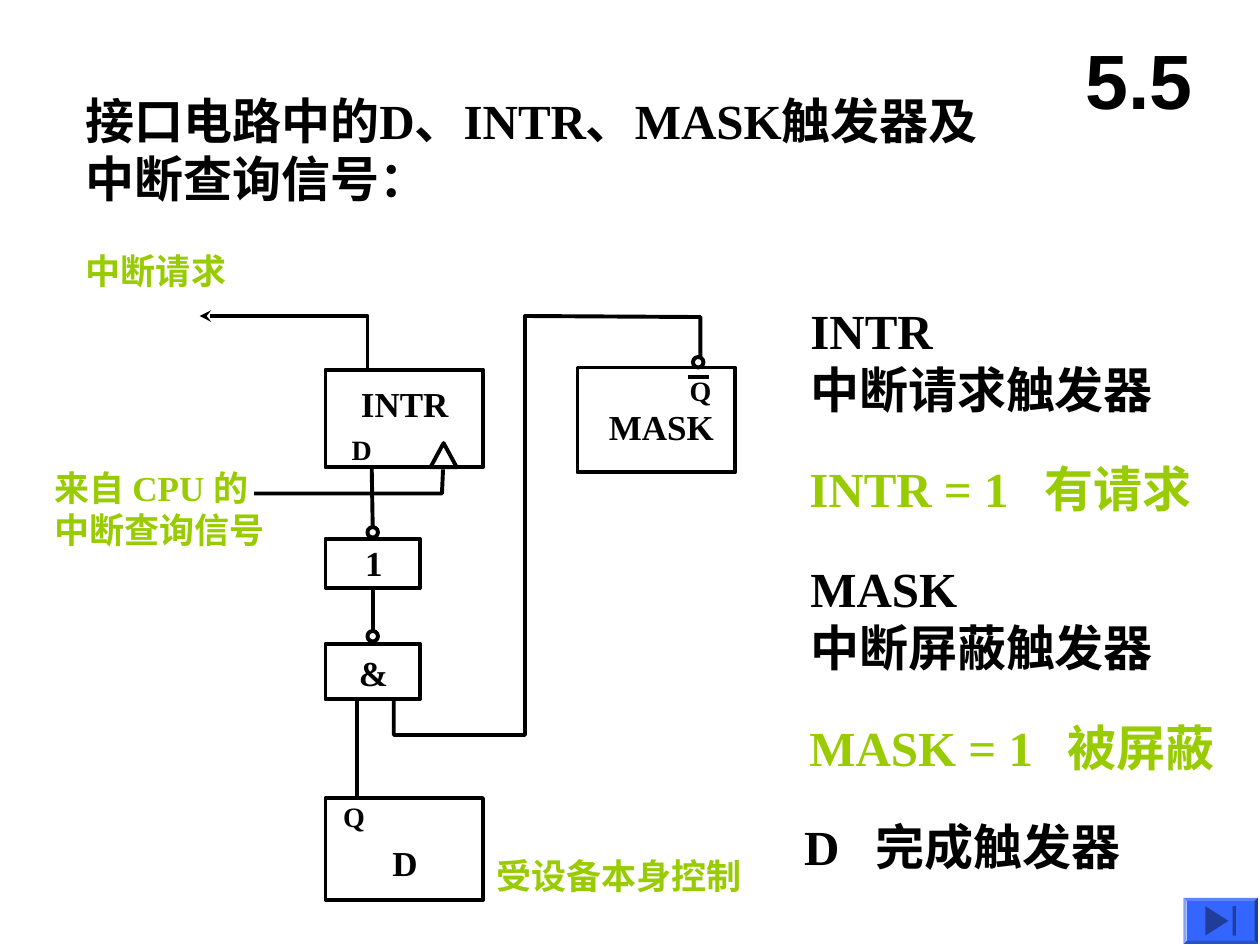
from lxml import etree
from pptx import Presentation
from pptx.dml.color import RGBColor
from pptx.enum.shapes import MSO_CONNECTOR, MSO_SHAPE
from pptx.enum.text import MSO_ANCHOR, PP_ALIGN
from pptx.oxml.ns import qn
from pptx.util import Inches, Pt

RECT = MSO_SHAPE.RECTANGLE
OVAL = MSO_SHAPE.OVAL
WEDGE = MSO_SHAPE.ISOSCELES_TRIANGLE
BEVEL = MSO_SHAPE.BEVEL
STRAIGHT = MSO_CONNECTOR.STRAIGHT

BLACK = RGBColor(0x00, 0x00, 0x00)
GREEN = RGBColor(0x99, 0xCC, 0x00)
BLUE = RGBColor(0x33, 0x66, 0xFF)
NAVY = RGBColor(0x1F, 0x3D, 0x99)
SERIF = "Times New Roman"

# The slide is a grid of 120 columns by 90 rows
COLS, ROWS = 120, 90
WIDE, HIGH = Inches(10), Inches(7.5)
CELL = WIDE // COLS


def grid(*cells):
    return [round(cell * CELL) for cell in cells]


def text(slide, words, at, size, color=BLACK, font=SERIF, wrap=False, tab=None):
    """Bold text, one paragraph a line; tab is a stop in cells."""
    frame = slide.shapes.add_textbox(*grid(*at)).text_frame
    frame.word_wrap = wrap
    frame.text = words
    for par in frame.paragraphs:
        if tab:
            stops = etree.SubElement(par._p.get_or_add_pPr(), qn("a:tabLst"))
            etree.SubElement(stops, qn("a:tab"), pos=str(grid(tab)[0]), algn="l")
        par.font.size = Pt(size)
        par.font.name = font
        par.font.bold = True
        par.font.color.rgb = color
    return frame


def ink(line):
    line.color.rgb = BLACK
    line.width = Pt(2.25)


def outline(slide, kind, *at):
    shape = slide.shapes.add_shape(kind, *grid(*at))
    shape.shadow.inherit = False
    shape.fill.background()
    ink(shape.line)


def bubble(slide, x, y):
    outline(slide, OVAL, x, y, 1, 1)


def wire(slide, *ends):
    line = slide.shapes.add_connector(STRAIGHT, *grid(*ends))
    etree.SubElement(line._element.spPr, qn("a:effectLst"))
    ink(line.line)


def trace(slide, points, close=False):
    start, *rest = [grid(*point) for point in points]
    path = slide.shapes.build_freeform(*start)
    path.add_line_segments(rest, close=close)
    return path.convert_to_shape()


def bent(slide, *points, arrow=False):
    shape = trace(slide, points)
    shape.shadow.inherit = False
    shape.fill.background()
    ink(shape.line)
    if arrow:
        etree.SubElement(shape.line._get_or_add_ln(), qn("a:tailEnd"), type="stealth")


def flat(shape, color):
    shape.shadow.inherit = False
    shape.fill.solid()
    shape.fill.fore_color.rgb = color
    shape.line.fill.background()


def heads(slide):
    text(slide, "接口电路中的D、INTR、MASK触发器及中断查询信号：",
         (7, 8, 89.3, 12.5), 28, wrap=True)
    frame = text(slide, "5.5", (101, 2, 15, 11), 44, font="Arial", wrap=True)
    frame.vertical_anchor = MSO_ANCHOR.MIDDLE
    frame.paragraphs[0].alignment = PP_ALIGN.CENTER


def gates(slide):
    # D flip-flop
    outline(slide, RECT, 31, 76, 15, 9.7)
    text(slide, "D", (36.2, 79.6, 5, 5.3), 20)
    text(slide, "Q", (31.5, 75.6, 4.6, 4.4), 16)
    # AND and NOT gates
    outline(slide, RECT, 31, 61.3, 9, 5.3)
    text(slide, "&", (33, 61.5, 5.4, 5.3), 20)
    bubble(slide, 35, 60.1)
    outline(slide, RECT, 31, 51.3, 9, 4.7)
    text(slide, "1", (33.6, 51, 4.4, 5.3), 20)
    bubble(slide, 35, 50.2)
    # INTR flip-flop with its clock input
    outline(slide, RECT, 31, 35.2, 15, 9.3)
    text(slide, "INTR", (33.2, 35.8, 12, 5.3), 20)
    text(slide, "D", (32.3, 40.6, 4.6, 4.4), 16)
    outline(slide, WEDGE, 41, 42.2, 2.5, 2.3)
    # MASK flip-flop with its inverted output
    outline(slide, RECT, 55, 35, 15, 10)
    text(slide, "MASK", (56.8, 38, 13, 5.3), 20)
    bubble(slide, 66, 34)
    text(slide, "Q", (64.5, 35, 4.6, 4.4), 16)
    wire(slide, 65.5, 35.9, 67.5, 35.9)


def wires(slide):
    wire(slide, 34, 66.7, 34, 76)
    wire(slide, 35.4, 44.5, 35.5, 50.4)
    wire(slide, 35.5, 56, 35.5, 60.2)
    bent(slide, (24.2, 47), (42.1, 47), (42.2, 44.7))
    bent(slide, (37.5, 66.7), (37.5, 70), (50, 70), (50, 30.1),
         (66.7, 30.2), (66.7, 34))
    bent(slide, (35, 35.2), (35, 30.1), (19, 30.1), arrow=True)


def notes(slide):
    # Signal labels
    text(slide, "中断请求", (7, 23.2, 16, 5.3), 20, GREEN, wrap=True)
    text(slide, "来自 CPU 的\n中断查询信号", (4, 43.8, 24, 9.3), 20, GREEN)
    text(slide, "受设备本身控制", (46.1, 80.8, 27.5, 5.3), 20, GREEN, wrap=True)
    # Meaning of each flip-flop
    for row, name, role, state, tab in (
            (28, "INTR", "中断请求触发器", "有请求", 22.4),
            (52.6, "MASK", "中断屏蔽触发器", "被屏蔽", 24.6)):
        text(slide, f"{name}\n{role}", (76, row, 36, 12.5), 28)
        text(slide, f"{name} = 1\t{state}", (75.9, row + 15.1, 44.1, 6.8), 28,
             GREEN, wrap=True, tab=tab)
    text(slide, "D\t完成触发器", (75.4, 77.2, 33.5, 6.8), 28, tab=6.8)


def button(slide):
    frame = slide.shapes.add_shape(BEVEL, *grid(112.7, 85.5, 7.1, 4.4))
    frame.adjustments[0] = 0.07
    flat(frame, BLUE)
    flat(trace(slide, [(117, 87.7), (114.8, 89.1), (114.8, 86.3)], True), NAVY)
    flat(slide.shapes.add_shape(RECT, *grid(117.4, 86.3, 0.3, 2.8)), NAVY)


def main():
    deck = Presentation()
    deck.slide_width, deck.slide_height = WIDE, HIGH
    slide = deck.slides.add_slide(deck.slide_layouts[6])
    heads(slide)
    gates(slide)
    wires(slide)
    notes(slide)
    button(slide)
    deck.save("out.pptx")


if __name__ == "__main__":
    main()
